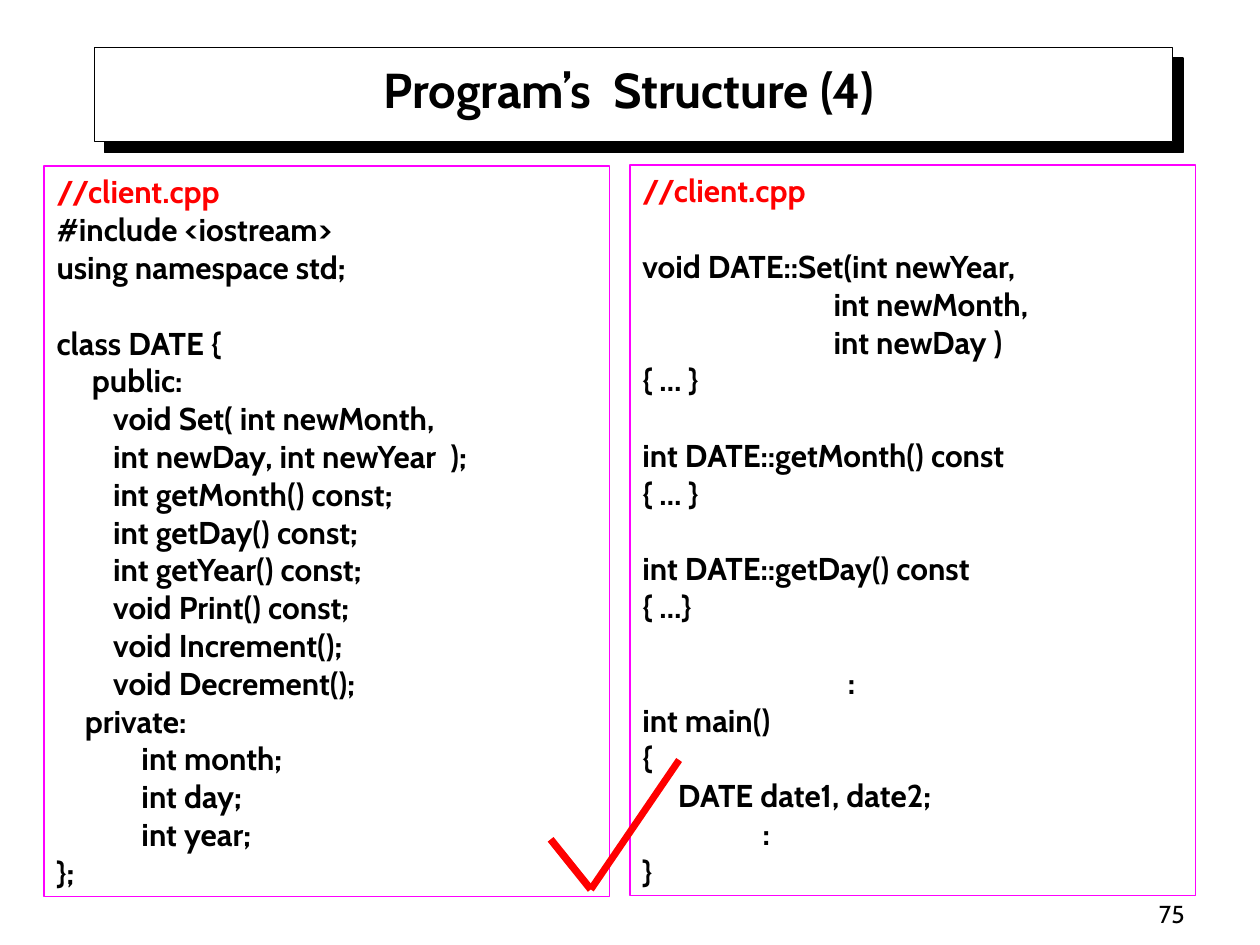
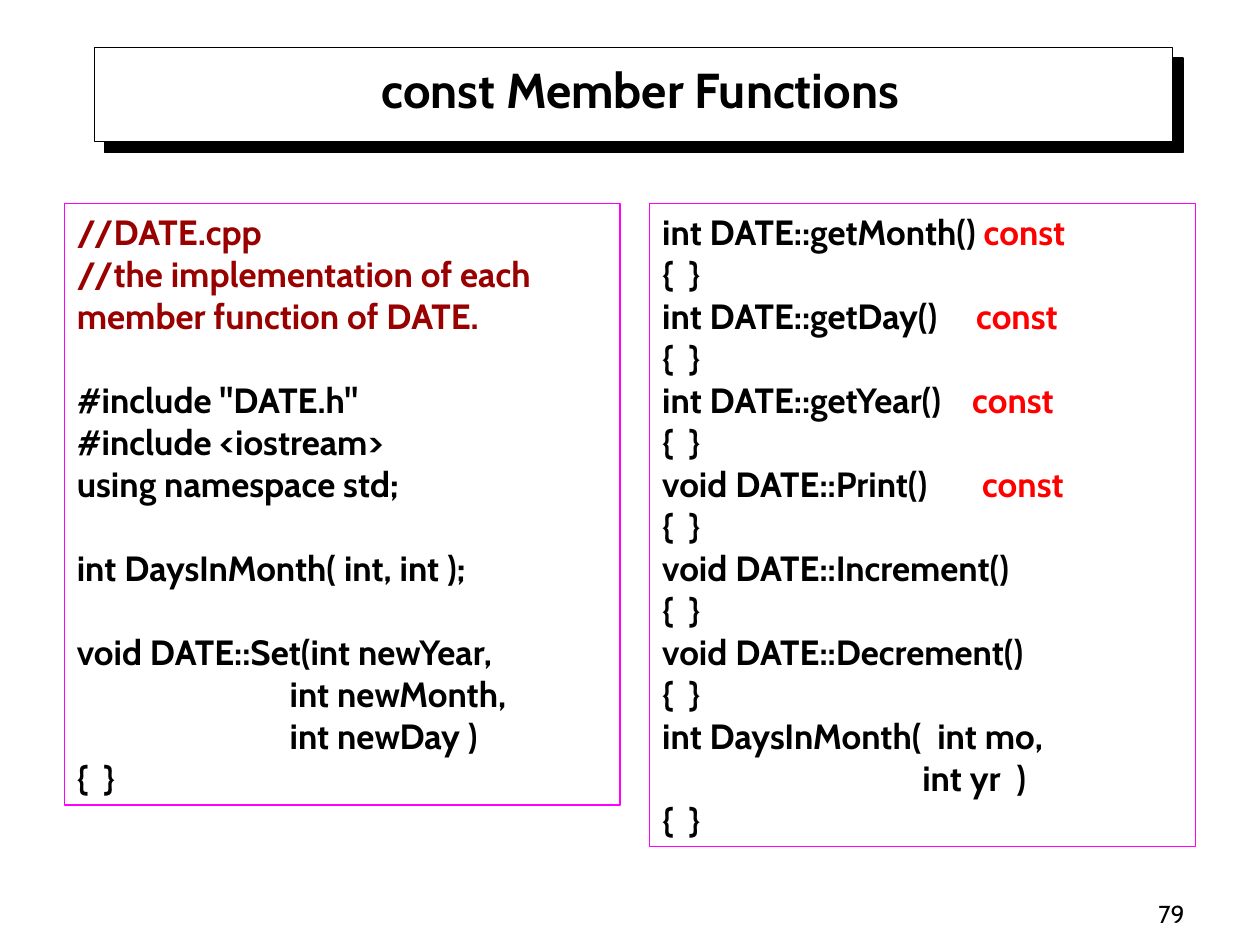
from dataclasses import dataclass

from lxml import etree
from pptx import Presentation
from pptx.dml.color import RGBColor
from pptx.enum.shapes import MSO_CONNECTOR, MSO_SHAPE
from pptx.enum.text import MSO_ANCHOR, MSO_AUTO_SIZE, PP_ALIGN
from pptx.oxml.ns import qn
from pptx.util import Cm, Pt

STRAIGHT = MSO_CONNECTOR.STRAIGHT
RECTANGLE = MSO_SHAPE.RECTANGLE
TOP, BOTTOM = MSO_ANCHOR.TOP, MSO_ANCHOR.BOTTOM
NO_FIT, GROW = MSO_AUTO_SIZE.NONE, MSO_AUTO_SIZE.SHAPE_TO_FIT_TEXT
LEFT, CENTER, RIGHT = PP_ALIGN.LEFT, PP_ALIGN.CENTER, PP_ALIGN.RIGHT
TITLE_ONLY = 5


@dataclass(frozen=True)
class Theme:
    font: str = "Cabin"
    ink: RGBColor = RGBColor(0, 0, 0)
    paper: RGBColor = RGBColor(255, 255, 255)
    frame: RGBColor = RGBColor(255, 0, 255)
    red: RGBColor = RGBColor(255, 0, 0)
    dark_red: RGBColor = RGBColor(153, 0, 0)
    title_size: int = 28
    number_size: int = 14
    hairline: float = 0.75
    line_height: float = 1.2


CLIENT_CLASS = """\
//client.cpp
#include <iostream>
using namespace std;

class DATE {
     public:
        void Set( int newMonth,
        int newDay, int newYear  );
        int getMonth() const;
        int getDay() const;
        int getYear() const;
        void Print() const;
        void Increment();
        void Decrement();
    private:
            int month;
            int day;
            int year;
};"""

CLIENT_MAIN = """\
//client.cpp

void DATE::Set(int newYear,
                           int newMonth,
                           int newDay )
{ … }

int DATE::getMonth() const
{ … }

int DATE::getDay() const
{ …}

                             :
int main()
{
     DATE date1, date2;
                 :
}"""

DATE_SETTER = """\
//DATE.cpp
//the implementation of each member function of DATE.

#include "DATE.h"
#include <iostream>
using namespace std;

int DaysInMonth( int, int );

void DATE::Set(int newYear,
                           int newMonth,
                           int newDay )
{  }"""

DATE_MEMBERS = """\
int DATE::getMonth() const
{  }
int DATE::getDay()\tconst
{  }
int DATE::getYear()\tconst
{  }
void DATE::Print()\tconst
{  }
void DATE::Increment()
{  }
void DATE::Decrement()
{  }
int DaysInMonth(  int mo,
                                 int yr  )
{  }"""

CONST_STOPS = {"getDay": 6.33, "getYear": 6.25, "Print": 6.45}


class SlideBuilder:
    def __init__(self, deck, theme):
        self.deck = deck
        self.theme = theme
        self.page = None

    def new_page(self, title, number, title_inset=0.25):
        self.page = self.deck.slides.add_slide(self.deck.slide_layouts[TITLE_ONLY])
        self.band()
        self.title(title, title_inset)
        self.page_number(number)

    def style(self, span, size, color=None, bold=True):
        span.font.name = self.theme.font
        span.font.size = Pt(size)
        span.font.bold = bold
        span.font.color.rgb = color or self.theme.ink

    def rectangle(self, area, line_color):
        box = self.page.shapes.add_shape(RECTANGLE, *map(Cm, area))
        box.shadow.inherit = False
        box.line.color.rgb = line_color
        box.line.width = Pt(self.theme.hairline)
        return box

    def band(self):
        """Draw the title frame with its hard black shadow."""
        box = self.rectangle((1.9, 0.96, 21.74, 1.9), self.theme.ink)
        box.fill.solid()
        box.fill.fore_color.rgb = self.theme.paper
        effects = box.element.spPr.find(qn("a:effectLst"))
        shadow = etree.SubElement(effects, qn("a:outerShdw"), dist=str(Pt(8.5)),
                                  dir="2700000", algn="ctr", rotWithShape="0")
        etree.SubElement(shadow, qn("a:srgbClr"), val=str(self.theme.ink))

    def title(self, text, right_inset):
        box = self.page.shapes.title
        self.page.shapes.element.append(box.element)  # in front of the band
        box.left, box.top, box.width, box.height = map(Cm, (2.1, 1.12, 21.6, 1.4))
        frame = box.text_frame
        frame.text = text
        frame.auto_size = NO_FIT
        frame.vertical_anchor = BOTTOM
        frame.margin_right = Cm(right_inset)
        para = frame.paragraphs[0]
        para.alignment = CENTER
        self.style(para.runs[0], self.theme.title_size)

    def page_number(self, number):
        box = self.page.shapes.add_textbox(*map(Cm, (18.85, 17.58, 5.28, 1.27)))
        frame = box.text_frame
        frame.word_wrap = True
        frame.vertical_anchor = BOTTOM
        frame.text = str(number)
        para = frame.paragraphs[0]
        para.alignment = RIGHT
        self.style(para.runs[0], self.theme.number_size, bold=False)

    def tab_stop(self, para, position):
        stops = etree.SubElement(para._p.get_or_add_pPr(), qn("a:tabLst"))
        etree.SubElement(stops, qn("a:tab"), pos=str(Cm(position)), algn="l")

    def code_panel(self, area, code, size, comment_color=None, keyword=None, stops=None):
        """Frame a listing; an empty line becomes space before the next one."""
        box = self.rectangle(area, self.theme.frame)
        box.fill.background()
        frame = box.text_frame
        frame.word_wrap = True
        frame.auto_size = GROW
        frame.vertical_anchor = TOP
        lines = code.split("\n")
        frame.text = "\n".join(filter(None, lines))
        paragraphs = iter(frame.paragraphs)
        gap = 0
        for line in lines:
            if not line:
                gap += size * self.theme.line_height
                continue
            para = next(paragraphs)
            para.alignment = LEFT
            if gap:
                para.space_before = Pt(gap)
                gap = 0
            for name, position in (stops or {}).items():
                if name in line:
                    self.tab_stop(para, position)
            if keyword and line.endswith(keyword):
                para.runs[0].text = line.removesuffix(keyword)
                para.add_run().text = keyword
            color = comment_color if line.startswith("//") else self.theme.ink
            self.style(para.runs[0], size, color)
            for span in para.runs[1:]:
                self.style(span, size, self.theme.red)

    def stroke(self, start, end, width):
        line = self.page.shapes.add_connector(STRAIGHT, *map(Cm, start + end))
        line.line.color.rgb = self.theme.red
        line.line.width = Pt(width)
        etree.SubElement(line.element.spPr, qn("a:effectLst"))

    def check_mark(self, start, corner, end):
        self.stroke(start, corner, 4.25)
        self.stroke(corner, end, 4)


def main():
    deck = Presentation()
    deck.slide_width, deck.slide_height = Cm(25.4), Cm(19.05)
    theme = Theme()
    builder = SlideBuilder(deck, theme)

    builder.new_page("Program’s  Structure (4)", 75, title_inset=0.7)
    builder.code_panel((0.89, 3.35, 11.4, 14.73), CLIENT_CLASS, 18, theme.red)
    builder.code_panel((12.7, 3.33, 11.4, 14.73), CLIENT_MAIN, 18, theme.red)
    builder.check_mark((11.1, 16.92), (11.91, 17.93), (13.69, 15.32))

    builder.new_page("const Member Functions", 79)
    builder.code_panel((1.3, 4.11, 11.2, 12.12), DATE_SETTER, 20, theme.dark_red)
    builder.code_panel((13.1, 4.11, 11, 12.95), DATE_MEMBERS, 20,
                       keyword="const", stops=CONST_STOPS)

    deck.save("out.pptx")


if __name__ == "__main__":
    main()
